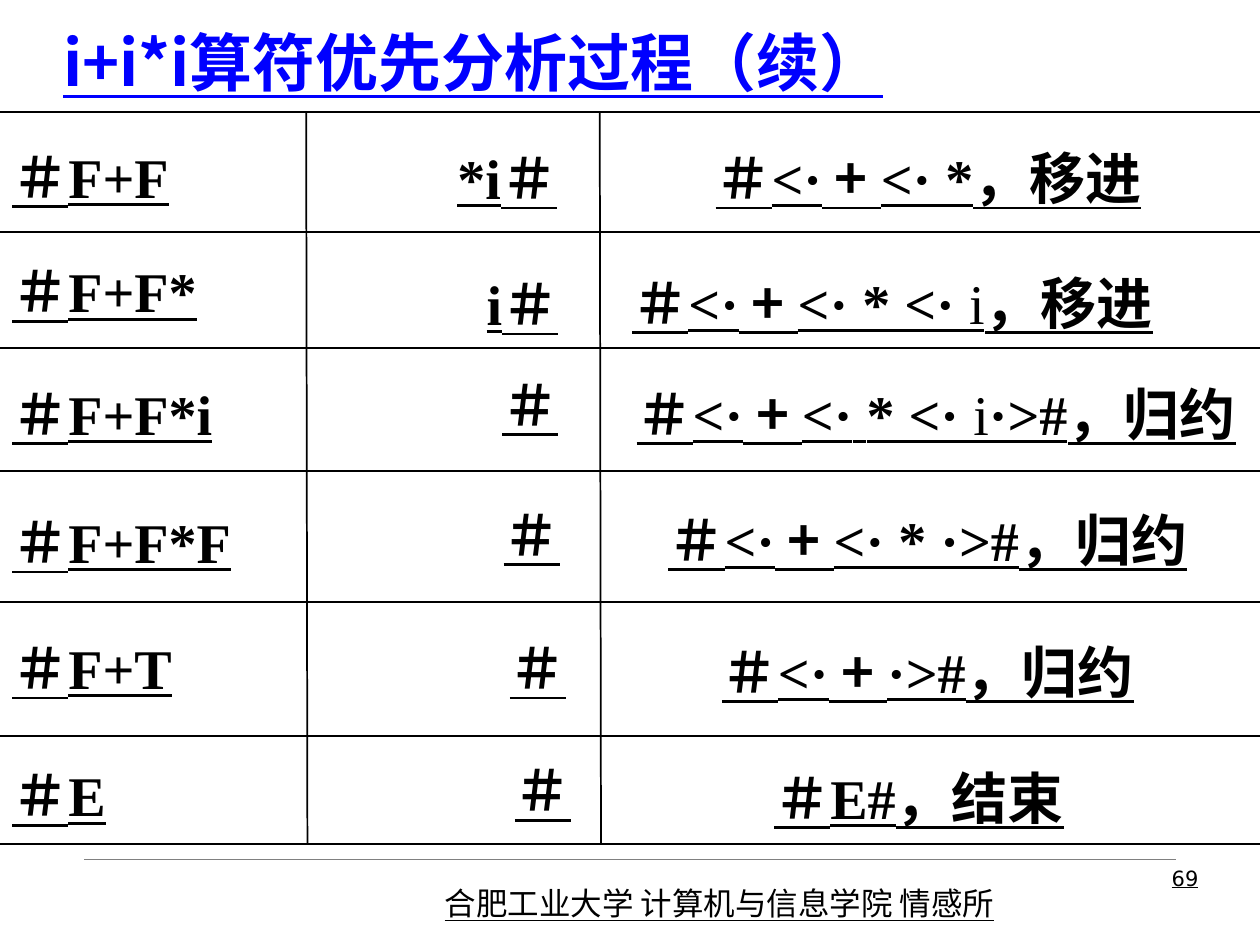
from dataclasses import dataclass

from lxml import etree
from pptx import Presentation
from pptx import util as u
from pptx.dml.color import RGBColor
from pptx.enum import shapes, text
from pptx.oxml.ns import qn

SANS, SERIF, NUMBER = "Noto Sans CJK SC", "Times New Roman", "DejaVu Sans"
BLACK, BLUE, GREY = "000000", "0000FF", "808080"
LEFT, CENTER, RIGHT = text.PP_ALIGN.LEFT, text.PP_ALIGN.CENTER, text.PP_ALIGN.RIGHT

# The slide is a grid of 100 columns by 75 rows
WIDTH, HEIGHT = u.Inches(10), u.Inches(7.5)


def col(count: float) -> int:
    return round(WIDTH * count / 100)


def row(count: float) -> int:
    return round(HEIGHT * count / 75)


@dataclass(frozen=True)
class Span:
    words: str
    font: str = SERIF
    bold: bool = True


@dataclass(frozen=True)
class Cell:
    left: float
    top: float
    width: float
    spans: tuple[Span, ...]
    height: float = 6.4


@dataclass(frozen=True)
class Style:
    size: float
    font: str
    color: str = BLACK
    bold: bool = False
    align: text.PP_ALIGN = LEFT


@dataclass(frozen=True)
class Rule:
    start: tuple[float, float]
    end: tuple[float, float]
    color: str = BLACK
    weight: float = 1


def color_of(value: str) -> RGBColor:
    return RGBColor.from_string(value)


def write(box, cell: Cell, style: Style) -> None:
    """Place a text shape and fill it with one underlined paragraph."""
    box.left, box.top = col(cell.left), row(cell.top)
    box.width, box.height = col(cell.width), row(cell.height)
    frame = box.text_frame
    frame.word_wrap = True
    frame.auto_size = text.MSO_AUTO_SIZE.NONE
    frame.vertical_anchor = text.MSO_ANCHOR.TOP
    para = frame.paragraphs[0]
    para.alignment = style.align
    font = para.font
    font.size, font.name = u.Pt(style.size), style.font
    font.bold, font.underline = style.bold, True
    font.color.rgb = color_of(style.color)
    etree.SubElement(font._element, qn("a:ea"), typeface=SANS)
    for span in cell.spans:
        run = para.add_run()
        run.text = span.words
        if span.font != style.font:
            run.font.name = span.font
        if span.bold != style.bold:
            run.font.bold = span.bold


def add_text(page, cell: Cell, style: Style) -> None:
    write(page.shapes.add_textbox(0, 0, 0, 0), cell, style)


def add_rule(page, rule: Rule) -> None:
    line = page.shapes.add_connector(
        shapes.MSO_CONNECTOR.STRAIGHT,
        col(rule.start[0]), row(rule.start[1]), col(rule.end[0]), row(rule.end[1]))
    line.line.color.rgb = color_of(rule.color)
    line.line.width = u.Pt(rule.weight)
    etree.SubElement(line._element.spPr, qn("a:effectLst"))


# Pieces of the operator relations
HASH, PLUS = Span("＃", SANS), Span(" + ", SANS)
LESS, GAP = Span("<·"), Span(" ", bold=False)
STAR_LESS, OPERAND, MORE = Span("* <·"), Span(" i", bold=False), Span("·>#")
SHIFT, REDUCE, FINISH = (Span("，" + step, SANS) for step in ("移进", "归约", "结束"))
OPENING = (HASH, LESS, PLUS, LESS, GAP)


def plain(words: str) -> tuple[Span, ...]:
    return (Span(words),)


STACK = [
    Cell(0, 10.8, 18.9, plain("＃F+F")),
    Cell(0, 19.9, 18.9, plain("＃F+F*")),
    Cell(0, 29.6, 25.6, plain("＃F+F*i")),
    Cell(0, 39.8, 23.4, plain("＃F+F*F")),
    Cell(0, 49.8, 23.4, plain("＃F+T")),
    Cell(0, 59.9, 23.4, plain("＃E")),
]
REMAINING = [
    Cell(26.4, 10.9, 18.8, plain("*i＃")),
    Cell(26.5, 20.9, 18.8, plain("i＃")),
    Cell(26.5, 28.9, 18.8, plain("＃")),
    Cell(26.6, 39.2, 18.8, plain("＃")),
    Cell(27.1, 49.8, 18.8, plain("＃")),
    Cell(27.5, 59.5, 18.8, plain("＃")),
]
ACTION = [
    Cell(51.8, 10.9, 43.8, (*OPENING, Span("*"), SHIFT)),
    Cell(47, 20.8, 47.7, (*OPENING, STAR_LESS, OPERAND, SHIFT), 11.7),
    Cell(46.2, 29.6, 56.2, (*OPENING, STAR_LESS, OPERAND, MORE, REDUCE)),
    Cell(47.3, 39.6, 52.7, (*OPENING, Span("* ·>#"), REDUCE)),
    Cell(47.3, 50.1, 52.7, (HASH, LESS, PLUS, MORE, REDUCE)),
    Cell(46.6, 60.1, 52.7, (HASH, Span("E#"), FINISH)),
]
COLUMNS = ((STACK, LEFT), (REMAINING, RIGHT), (ACTION, CENTER))
ROW_EDGES = (8.9, 18.4, 27.6, 37.4, 47.8, 58.4, 67)
COLUMN_EDGES = (24.3, 47.6)


def main() -> None:
    deck = Presentation()
    deck.slide_width, deck.slide_height = WIDTH, HEIGHT
    page = deck.slides.add_slide(deck.slide_layouts[5])

    # Title
    heading = Cell(4, 1.4, 80.7, (Span("i+i*i算符优先分析过程（续）", SANS),), 7)
    write(page.shapes.title, heading, Style(36, SANS, BLUE, True))

    # Ruled grid
    for edge in ROW_EDGES:
        add_rule(page, Rule((0, edge), (100, edge)))
    for edge in COLUMN_EDGES:
        add_rule(page, Rule((edge, 8.9), (edge + 0.1, 66.9)))

    # Analysis steps
    for cells, align in COLUMNS:
        for cell in cells:
            add_text(page, cell, Style(32, SERIF, bold=True, align=align))

    # Footer
    add_rule(page, Rule((6.7, 68.2), (93.3, 68.2), GREY, 0.25))
    school = Span("合肥工业大学 计算机与信息学院 情感所", SANS, False)
    add_text(page, Cell(34.3, 69.7, 48, (school,), 4), Style(18, SANS))
    number = Span("69", NUMBER, False)
    add_text(page, Cell(74.4, 68.2, 21.7, (number,), 5.2),
             Style(12, NUMBER, align=RIGHT))

    deck.save("out.pptx")


if __name__ == "__main__":
    main()
